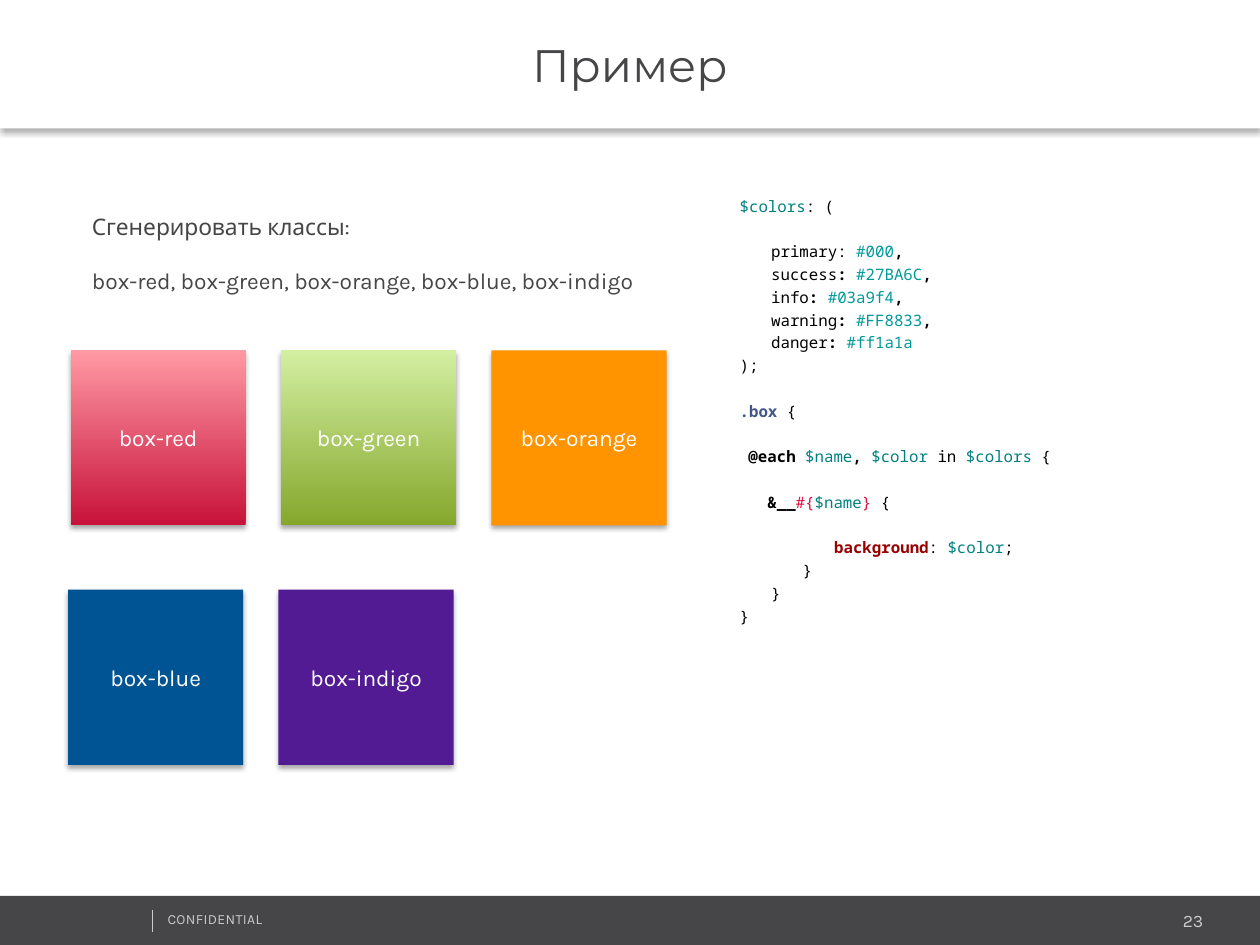
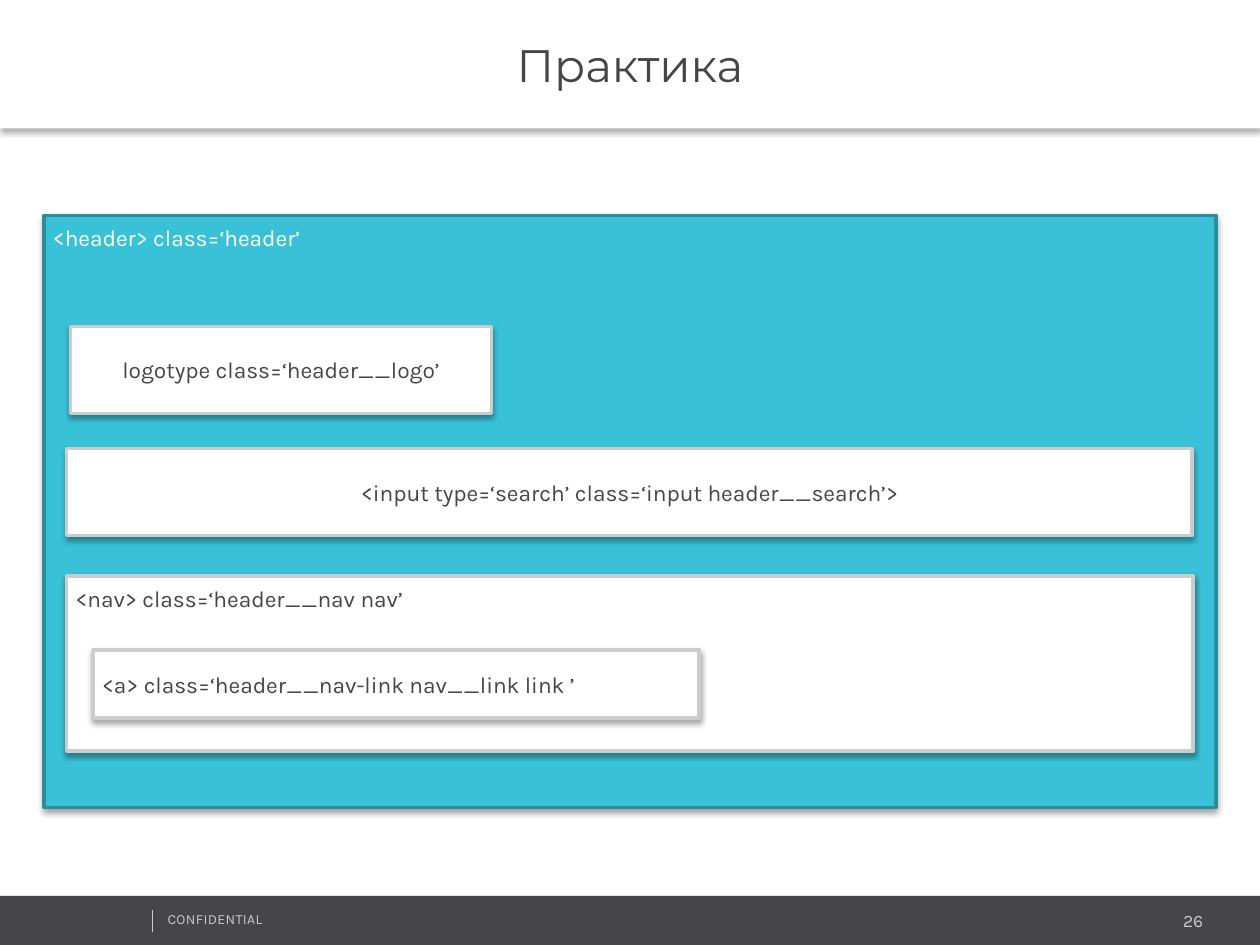
from lxml import etree
from pptx import Presentation
from pptx.dml.color import RGBColor
from pptx.enum.shapes import MSO_CONNECTOR, MSO_SHAPE
from pptx.enum.text import MSO_ANCHOR as Anchor, MSO_AUTO_SIZE as Auto, PP_ALIGN as Align
from pptx.oxml.ns import qn
from pptx.util import Inches, Pt

HUES = {
    "white": "FFFFFF", "dark": "464547", "pale": "CCCCCC", "black": "000000",
    "teal": "39C2D7", "edge": "2A8E9D",
    "red": "C7123A", "pink": "FF99A4", "green": "85A72C", "lime": "D3EFA2",
    "orange": "FF9300", "blue": "005493", "indigo": "531B93",
    "code": "000000", "strong": "000000", "var": "008080", "value": "009999",
    "class": "445588", "prop": "990000", "mark": "DD1144",
}
BOLD = {"strong", "class", "prop"}
BODY, HEAD, MONO = "Karla", "Montserrat", "Noto Sans Mono"

COLORS = {"primary": "#000", "success": "#27BA6C", "info": "#03a9f4",
          "warning": "#FF8833", "danger": "#ff1a1a"}


def rgb(hue):
    return RGBColor.from_string(HUES[hue])


class Deck:
    def __init__(self):
        self.prs = Presentation()
        self.prs.slide_width, self.prs.slide_height = Inches(10), Inches(7.5)
        self.slide = None

    def start(self, title, page):
        """Add a slide with its footer and title band."""
        self.slide = self.prs.slides.add_slide(self.prs.slide_layouts[5])
        self.band(title)
        self.rect(0, 7.11, 10, 0.39, "dark")
        note = self.text(1.28, 7.18, 2.53, 0.24, ["CONFIDENTIAL"], 8, "pale", wrap=True)
        for run in note.paragraphs[0].runs:
            run.font._element.set("spc", "20")
        self.rule(1.21, 7.22, 7.4)
        self.text(9.34, 7.17, 0.26, 0.25, [str(page)], 10, "pale", align=Align.RIGHT)

    def band(self, title):
        head = self.slide.shapes.title
        head.left, head.top, head.width, head.height = 0, 0, Inches(10), Inches(1.02)
        head.fill.solid()
        head.fill.fore_color.rgb = rgb("white")
        self.shade(head, 30, 2)
        self.put(head.text_frame, [title], 26, "dark", Align.CENTER, Anchor.MIDDLE, HEAD)
        head.text_frame.paragraphs[0].space_before = Pt(6)

    def shade(self, shape, alpha, dist):
        """Cast a soft black shadow straight down."""
        shape.shadow.inherit = False
        outer = etree.SubElement(shape._element.spPr.find(qn("a:effectLst")), qn("a:outerShdw"),
                                 blurRad=str(Pt(3)), dist=str(Pt(dist)), dir="5400000",
                                 rotWithShape="0")
        tint = etree.SubElement(outer, qn("a:srgbClr"), val=HUES["black"])
        etree.SubElement(tint, qn("a:alpha"), val=str(alpha * 1000))

    def put(self, frame, lines, size, hue, align=Align.LEFT, anchor=Anchor.TOP,
            font=BODY, inset=0.05, wrap=True):
        """Set and format the lines of a text frame."""
        frame.word_wrap, frame.auto_size = wrap, Auto.NONE
        frame.vertical_anchor = anchor
        frame.margin_left = frame.margin_right = Inches(inset)
        frame.margin_top = frame.margin_bottom = Inches(inset)
        frame.text = "\n".join(lines)
        for para in frame.paragraphs:
            para.alignment = align
            for run in para.runs:
                self.ink(run, size, hue, font)

    def ink(self, run, size, hue, font):
        run.font.name, run.font.size = font, Pt(size)
        run.font.bold = hue in BOLD
        run.font.color.rgb = rgb(hue)

    def text(self, x, y, w, h, lines, size, hue, align=Align.LEFT, wrap=False):
        box = self.slide.shapes.add_textbox(Inches(x), Inches(y), Inches(w), Inches(h))
        self.put(box.text_frame, lines, size, hue, align, wrap=wrap)
        return box.text_frame

    def rule(self, x, top, end):
        line = self.slide.shapes.add_connector(
            MSO_CONNECTOR.STRAIGHT, Inches(x), Inches(top), Inches(x), Inches(end))
        line.line.color.rgb, line.line.width = rgb("pale"), Pt(0.25)
        etree.SubElement(line._element.spPr, qn("a:effectLst"))

    def rect(self, x, y, w, h, *hues):
        """Draw a plain rectangle; two hues blend from bottom to top."""
        shape = self.slide.shapes.add_shape(
            MSO_SHAPE.RECTANGLE, Inches(x), Inches(y), Inches(w), Inches(h))
        shape.shadow.inherit = False
        shape.line.fill.background()
        if len(hues) > 1:
            shape.fill.gradient()
            shape.fill.gradient_angle = 90
            for stop, hue in zip(shape.fill.gradient_stops, hues):
                stop.color.rgb = rgb(hue)
        else:
            shape.fill.solid()
            shape.fill.fore_color.rgb = rgb(hues[0])
        return shape

    def tile(self, x, y, w, h, label, hues, hue="white", edge=None,
             align=Align.CENTER, anchor=Anchor.MIDDLE):
        """Draw a labelled rectangle with a shadow."""
        shape = self.rect(x, y, w, h, *hues)
        if edge:
            shape.line.color.rgb, shape.line.width = rgb(edge), Pt(2)
        self.shade(shape, 35, 1.8)
        self.put(shape.text_frame, [label], 13, hue, align, anchor, inset=0.07)

    def snippet(self, x, y, w, h, rows):
        """Add code from rows of (indent, blank lines above, runs)."""
        frame = self.text(x, y, w, h, [""] * len(rows), 9, "code")
        for para, (indent, gap, runs) in zip(frame.paragraphs, rows):
            para.line_spacing, para.space_before = Pt(13), Pt(13 * gap)
            props = para._p.get_or_add_pPr()
            props.set("marL", str(Inches(indent)))
            props.set("indent", "0")
            for words, hue in runs:
                run = para.add_run()
                run.text = words
                self.ink(run, 9, hue, MONO)


def listing():
    rows = [(0, 0, [("$colors", "var"), (": (", "code")])]
    for i, (name, value) in enumerate(COLORS.items()):
        runs = [(name, "code"), (": ", "strong" if i else "code"), (value, "value")]
        if i < len(COLORS) - 1:
            runs.append((",", "strong"))
        rows.append((0.25, 0 if i else 1, runs))
    return rows + [
        (0, 0, [(");", "code")]),
        (0, 1, [(".box ", "class"), ("{", "code")]),
        (0.07, 1, [("@each ", "strong"), ("$name", "var"), (", ", "strong"),
                   ("$color ", "var"), ("in ", "code"), ("$colors ", "var"), ("{", "code")]),
        (0.22, 1, [("&__", "strong"), ("#{", "mark"), ("$name", "var"),
                   ("} ", "mark"), ("{", "code")]),
        (0.75, 1, [("background", "prop"), (": ", "code"), ("$color", "var"), (";", "code")]),
    ] + [(indent, 0, [("}", "code")]) for indent in (0.5, 0.25, 0)]


def sample(deck):
    deck.start("Пример", 23)
    brief = deck.text(0.68, 1.64, 4.48, 0.93, [
        "Сгенерировать классы:", "box-red, box-green, box-orange, box-blue, box-indigo"],
        13, "dark")
    brief.paragraphs[1].space_before = Pt(15)
    grid = [
        (0.56, 2.78, [("red", "pink"), ("green", "lime"), ("orange",)]),
        (0.54, 4.68, [("blue",), ("indigo",)]),
    ]
    for left, top, row in grid:
        for i, hues in enumerate(row):
            deck.tile(left + i * 1.67, top, 1.39, 1.39, f"box-{hues[0]}", hues)
    deck.snippet(5.82, 1.48, 2.59, 3.53, listing())


def task(deck):
    deck.start("Практика", 26)
    deck.tile(0.35, 1.71, 9.3, 4.7, "<header> class=‘header’", ["teal"], edge="edge",
              align=Align.LEFT, anchor=Anchor.TOP)
    parts = [
        (0.56, 2.59, 3.34, 0.69, "logotype class=‘header__logo’",
         Align.CENTER, Anchor.MIDDLE),
        (0.53, 3.56, 8.93, 0.69, "<input type=‘search’ class=‘input header__search’>",
         Align.CENTER, Anchor.MIDDLE),
        (0.53, 4.57, 8.94, 1.39, "<nav> class=‘header__nav nav’",
         Align.LEFT, Anchor.TOP),
        (0.74, 5.16, 4.81, 0.54, "<a> class=‘header__nav-link nav__link link ’",
         Align.LEFT, Anchor.MIDDLE),
    ]
    for *place, label, align, anchor in parts:
        deck.tile(*place, label, ["white"], "dark", "pale", align, anchor)


def main():
    deck = Deck()
    sample(deck)
    task(deck)
    deck.prs.save("out.pptx")


if __name__ == "__main__":
    main()
